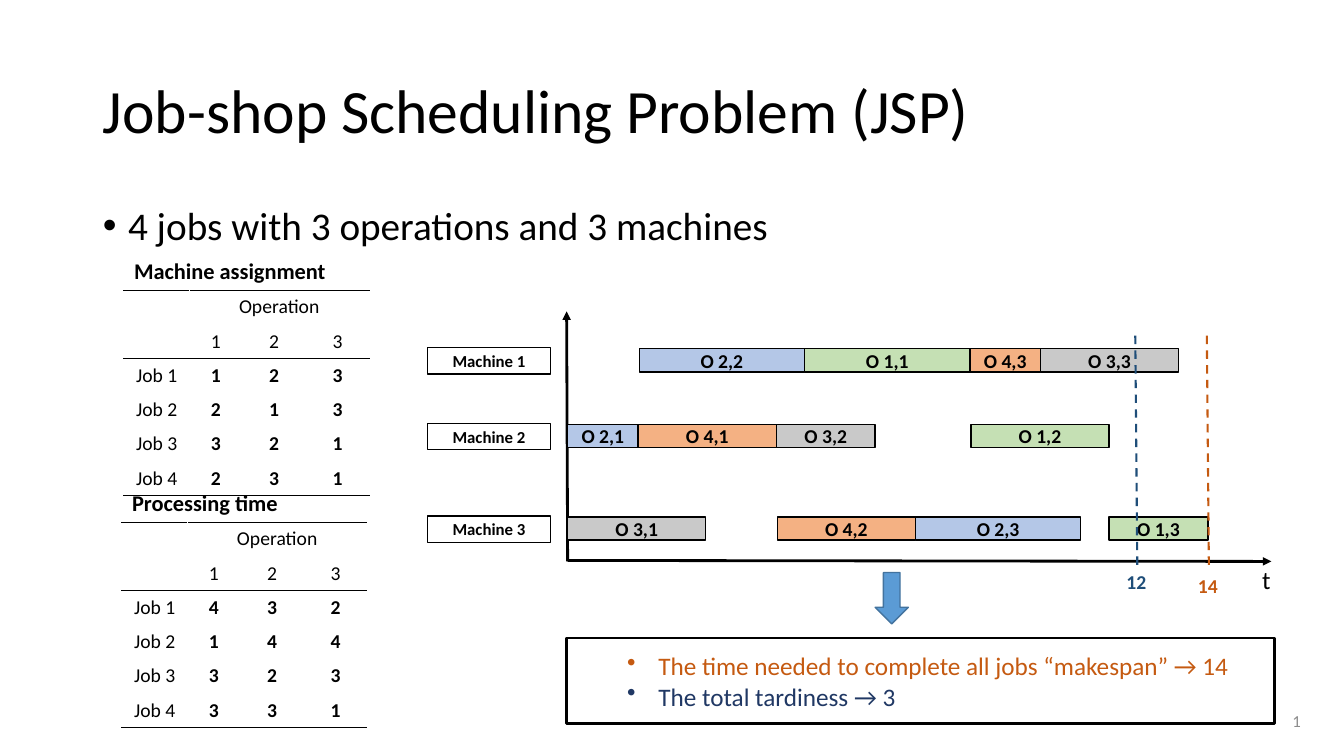
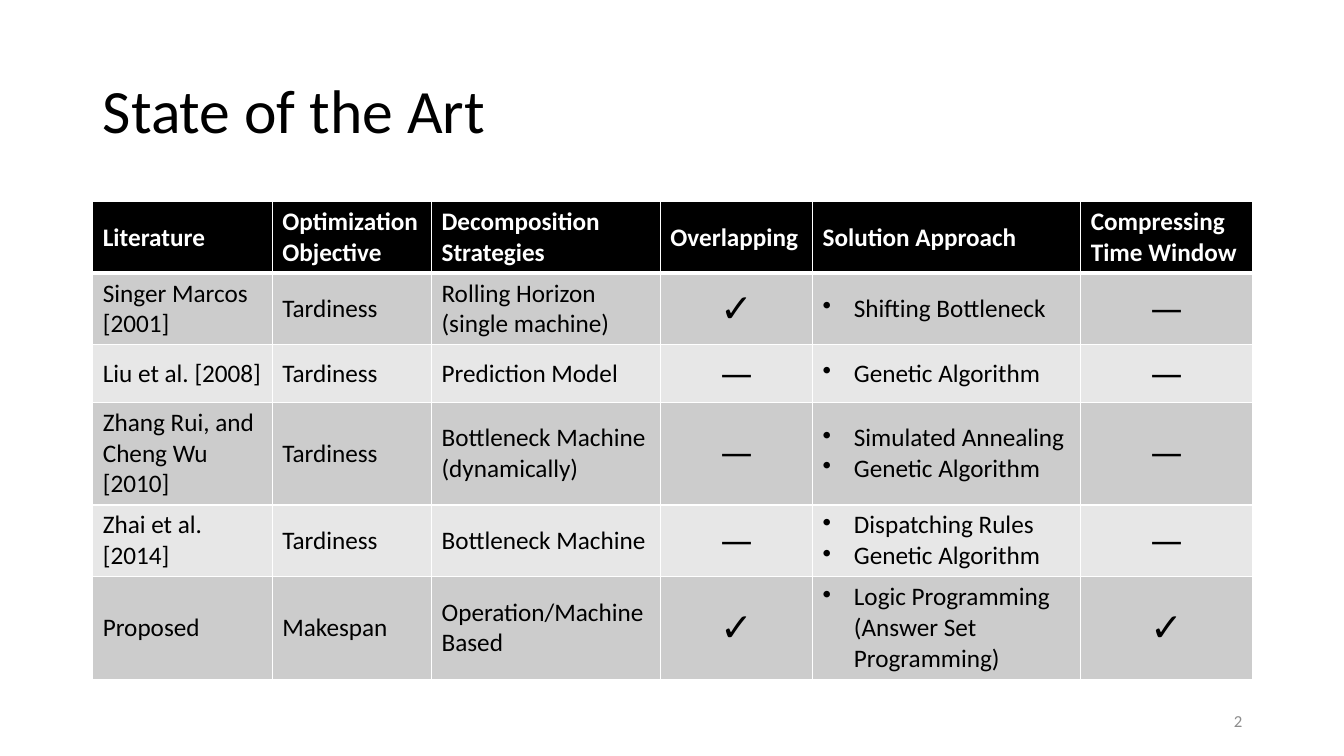
import lxml.etree
import pptx
import pptx.dml.color
import pptx.enum.dml
import pptx.enum.shapes
import pptx.enum.text
import pptx.oxml.ns
import pptx.util

Inches = pptx.util.Inches
Pt = pptx.util.Pt
qn = pptx.oxml.ns.qn
Align = pptx.enum.text.PP_ALIGN
Anchor = pptx.enum.text.MSO_ANCHOR
Shape = pptx.enum.shapes.MSO_SHAPE

# Shared look
FONT = "Calibri"
BLACK, WHITE, GREY = "000000", "FFFFFF", "8C8C8C"
RUST, NAVY, STEEL = "C55A11", "203864", "1F4E79"
JOBS = {1: "C5E0B4", 2: "B4C7E7", 3: "C9C9C9", 4: "F4B183"}
BANDS = ["CCCCCC", "E7E7E7"]

# Job data: one row a job, one column an operation
ASSIGN = [[1, 2, 3], [2, 1, 3], [3, 2, 1], [2, 3, 1]]
TIMES = [[4, 3, 2], [1, 4, 4], [3, 2, 3], [3, 3, 1]]

# Bar width by duration; each machine has its top and runs of (job, operation)
WIDTHS = {1: 0.7, 2: 0.98, 3: 1.37, 4: 1.64}
PLAN = [
    (3.45, [(6.34, [(2, 2), (1, 1), (4, 3), (3, 3)])]),
    (4.2, [(5.63, [(2, 1), (4, 1), (3, 2)]), (9.63, [(1, 2)])]),
    (5.12, [(5.63, [(3, 1)]), (7.71, [(4, 2), (2, 3)]), (11, [(1, 3)])]),
]

STUDIES = [
    ("Singer Marcos [2001]", "Tardiness", "Rolling Horizon (single machine)",
     "✓", "Shifting Bottleneck", "—"),
    ("Liu et al. [2008]", "Tardiness", "Prediction Model",
     "—", "Genetic Algorithm", "—"),
    ("Zhang Rui, and Cheng Wu [2010]", "Tardiness",
     "Bottleneck Machine (dynamically)",
     "—", "Simulated Annealing\nGenetic Algorithm", "—"),
    ("Zhai et al. [2014]", "Tardiness", "Bottleneck Machine",
     "—", "Dispatching Rules\nGenetic Algorithm", "—"),
    ("Proposed", "Makespan", "Operation/Machine Based",
     "✓", "Logic Programming (Answer Set Programming)", "✓"),
]
HEADS = ("Literature", "Optimization Objective", "Decomposition Strategies",
         "Overlapping", "Solution Approach", "Compressing Time Window")


def color(code):
    return pptx.dml.color.RGBColor.from_string(code)


def box(*lengths):
    return [Inches(length) for length in lengths]


# Text
def style(font, size, hue=BLACK, bold=False):
    font.name, font.size, font.bold = FONT, Pt(size), bold
    font.color.rgb = color(hue)


def write(frame, text, size, hue=BLACK, bold=False, align=Align.LEFT):
    frame.text = text
    for par in frame.paragraphs:
        par.alignment = align
        for run in par.runs:
            style(run.font, size, hue, bold)
        if not par.runs:
            lxml.etree.SubElement(par._p, qn("a:endParaRPr"), sz=str(size * 100))


def bullet(par, indent):
    props = par._p.get_or_add_pPr()
    props.set("marL", str(Inches(indent)))
    props.set("indent", str(-Inches(indent)))
    lxml.etree.SubElement(props, qn("a:buChar"), char="•")


def label(slide, place, text, size, hue=BLACK, bold=False, align=Align.LEFT):
    frame = slide.shapes.add_textbox(*box(*place)).text_frame
    frame.word_wrap = False
    write(frame, text, size, hue, bold, align)
    return frame


def place(holder, *lengths):
    holder.left, holder.top, holder.width, holder.height = box(*lengths)
    return holder.text_frame


def start(deck, layout, title, right):
    """Add a slide with its title and its number, which ends at right."""
    slide = deck.slides.add_slide(deck.slide_layouts[layout])
    frame = place(slide.shapes.title, 0.92, 0.4, 11.5, 1.45)
    frame.vertical_anchor = Anchor.MIDDLE
    write(frame, title, 44)
    frame.paragraphs[0].line_spacing = 0.9

    frame = label(slide, (right - 1, 6.95, 1, 0.4), "", 12, align=Align.RIGHT)
    frame.word_wrap = True
    frame.vertical_anchor = Anchor.MIDDLE
    par = frame.paragraphs[0]
    run = par.add_run()
    run.text = str(deck.slides.index(slide) + 4)
    style(run.font, 12, GREY)
    field = lxml.etree.Element(
        qn("a:fld"), id="{B6F15528-21DE-4FAA-801E-634DDDAF4B2B}", type="slidenum")
    run._r.addprevious(field)
    field.extend(list(run._r))
    par._p.remove(run._r)
    return slide


# Shapes and lines
def block(slide, kind, lengths, fill=None, line=BLACK, width=1):
    shape = slide.shapes.add_shape(kind, *box(*lengths))
    shape.shadow.inherit = False
    if fill:
        shape.fill.solid()
        shape.fill.fore_color.rgb = color(fill)
    else:
        shape.fill.background()
    shape.line.color.rgb = color(line)
    shape.line.width = Pt(width)
    return shape


def bar(slide, lengths, text, size, fill=None):
    frame = block(slide, Shape.RECTANGLE, lengths, fill).text_frame
    frame.margin_top = frame.margin_bottom = 0
    frame.vertical_anchor = Anchor.MIDDLE
    write(frame, text, size, bold=True, align=Align.CENTER)


def stroke(slide, ends, hue, width, dash=False, arrow=False):
    line = slide.shapes.add_connector(
        pptx.enum.shapes.MSO_CONNECTOR.STRAIGHT, *box(*ends))
    lxml.etree.SubElement(line._element.spPr, qn("a:effectLst"))
    line.line.color.rgb = color(hue)
    line.line.width = Pt(width)
    if dash:
        line.line.dash_style = pptx.enum.dml.MSO_LINE.DASH
    if arrow:
        lxml.etree.SubElement(
            line.line._get_or_add_ln(), qn("a:tailEnd"), type="triangle")


# Tables
def grid(slide, left, top, cols, rows):
    table = slide.shapes.add_table(
        len(rows), len(cols), *box(left, top, sum(cols), sum(rows))).table
    table.first_row = table.horz_banding = False
    for col, width in zip(table.columns, cols):
        col.width = Inches(width)
    for row, height in zip(table.rows, rows):
        row.height = Inches(height)
    return table


def edge(cell, **edges):
    """Draw the edges L, R, T and B, white 1 pt unless (hue, width) is given."""
    props = cell._tc.get_or_add_tcPr()
    for side in "LRTB":
        hue, width = edges.get(side, (WHITE, 1))
        line = lxml.etree.SubElement(props, qn("a:ln" + side), w=str(Pt(width)))
        fill = lxml.etree.SubElement(line, qn("a:solidFill"))
        lxml.etree.SubElement(fill, qn("a:srgbClr"), val=hue)


def job_table(slide, left, top, title, values):
    table = grid(slide, left, top, [0.65, 0.52, 0.64, 0.62], [0.37] + [0.34] * 6)
    texts = [[title, "", "", ""], ["", "Operation", "", ""], ["", 1, 2, 3]]
    texts += [[f"Job {job}"] + row for job, row in enumerate(values, 1)]
    rule = (BLACK, 1)
    for r, row in enumerate(texts):
        edges = {"T": rule} if r in (1, 3) else {}
        if r in (0, 2, 6):
            edges["B"] = rule
        for c, text in enumerate(row):
            cell = table.cell(r, c)
            edge(cell, **edges)
            cell.fill.background()
            bold = r == 0 or (r > 2 and c > 0)
            write(cell.text_frame, str(text), 14 if r else 16, bold=bold,
                  align=Align.CENTER if r else Align.LEFT)
    table.cell(0, 0).merge(table.cell(0, 3))
    table.cell(1, 1).merge(table.cell(1, 3))


def study_table(slide):
    table = grid(slide, 0.92, 2, [1.78, 1.58, 2.27, 1.51, 2.66, 1.7],
                 [0.71, 0.71, 0.57, 1.02, 0.71, 1.02])
    thick = (WHITE, 3)
    for r, row in enumerate([HEADS] + STUDIES):
        edges = {0: {"B": thick}, 1: {"T": thick}}.get(r, {})
        for c, text in enumerate(row):
            cell = table.cell(r, c)
            edge(cell, **edges)
            cell.fill.solid()
            cell.fill.fore_color.rgb = color(BANDS[(r - 1) % 2] if r else BLACK)
            cell.vertical_anchor = Anchor.MIDDLE
            mark = text in ("✓", "—")
            write(cell.text_frame, text, 28 if mark else 18,
                  BLACK if r else WHITE, r == 0,
                  Align.CENTER if mark else Align.LEFT)
            if r and c == 4:
                for par in cell.text_frame.paragraphs:
                    bullet(par, 0.31)


# Gantt chart
def gantt(slide):
    stroke(slide, (5.63, 5.57, 5.62, 3.09), BLACK, 2, arrow=True)
    stroke(slide, (5.63, 5.56, 12.61, 5.57), BLACK, 2, arrow=True)
    label(slide, (12.42, 5.55, 0.3, 0.4), "t", 18)
    for number, (top, chains) in enumerate(PLAN, 1):
        bar(slide, (4.24, top, 1.22, 0.26), f"Machine {number}", 12)
        for left, steps in chains:
            for job, step in steps:
                width = WIDTHS[TIMES[job - 1][step - 1]]
                bar(slide, (left, top + 0.01, width, 0.23),
                    f"O {job},{step}", 14, JOBS[job])
                left += width
    for text, left, top, hue in (("12", 11.26, 5.61, STEEL),
                                 ("14", 11.97, 5.64, RUST)):
        stroke(slide, (left, 3.33, left + 0.02, 5.62), hue, 1.5, dash=True)
        label(slide, (left - 0.19, top, 0.4, 0.34), text, 14, hue, True,
              Align.CENTER)


def result(slide):
    block(slide, Shape.DOWN_ARROW, (8.68, 5.68, 0.33, 0.51), "5B9BD5", "43739E")
    frame = block(slide, Shape.RECTANGLE, (5.62, 6.33, 7.02, 0.85),
                  width=2).text_frame
    frame.margin_left = Inches(0.6)
    frame.vertical_anchor = Anchor.MIDDLE
    write(frame, "The time needed to complete all jobs “makespan” → 14\n"
                 "The total tardiness → 3", 18)
    for par, hue in zip(frame.paragraphs, (RUST, NAVY)):
        bullet(par, 0.31)
        par.runs[0].font.color.rgb = color(hue)


# Slides
def problem(deck):
    slide = start(deck, 1, "Job-shop Scheduling Problem (JSP)", 13)
    frame = place(slide.placeholders[1], 0.92, 2, 11.5, 4.76)
    write(frame, "4 jobs with 3 operations and 3 machines", 28)
    par = frame.paragraphs[0]
    bullet(par, 0.25)
    par.line_spacing = 0.9
    par.space_before = Pt(0)
    job_table(slide, 1.21, 4.81, "Processing time", TIMES)
    job_table(slide, 1.23, 2.51, "Machine assignment", ASSIGN)
    gantt(slide)
    result(slide)


def review(deck):
    study_table(start(deck, 5, "State of the Art", 12.42))


def main():
    deck = pptx.Presentation()
    deck.slide_width, deck.slide_height = box(13.33, 7.5)
    problem(deck)
    review(deck)
    deck.save("out.pptx")


if __name__ == "__main__":
    main()
